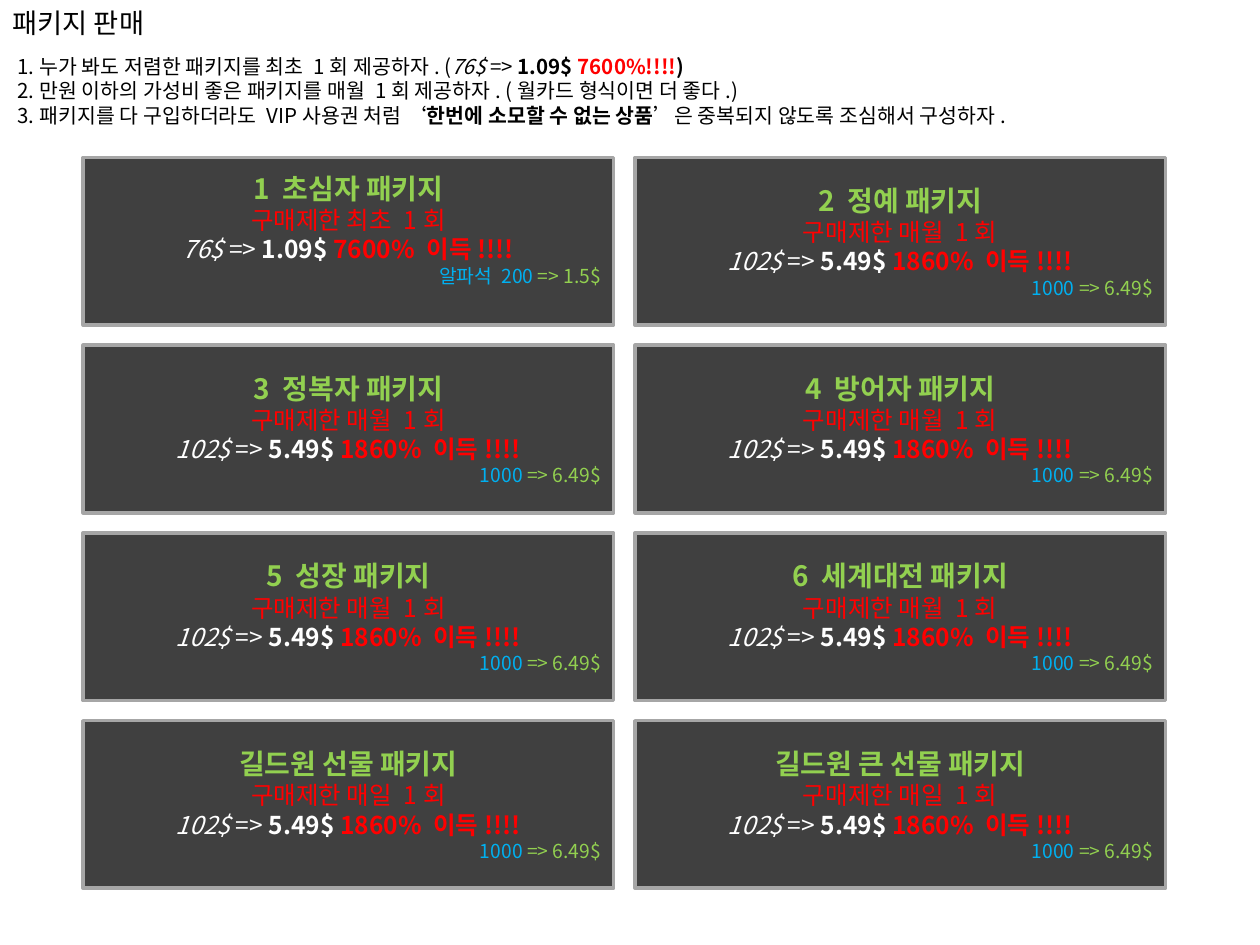
"""Build the package sales slide: a title, three rules and a grid of eight package cards."""
from lxml import etree
from pptx import Presentation
from pptx.dml.color import RGBColor
from pptx.enum import shapes, text
from pptx.oxml import ns
from pptx.util import Inches, Pt

FONT = "Noto Sans CJK KR"
BLACK = RGBColor(0x00, 0x00, 0x00)
WHITE = RGBColor(0xFF, 0xFF, 0xFF)
RED = RGBColor(0xFF, 0x00, 0x00)
GREEN = RGBColor(0x92, 0xD0, 0x50)
BLUE = RGBColor(0x00, 0xB0, 0xF0)
CARD_FILL = RGBColor(0x40, 0x40, 0x40)
CARD_BORDER = RGBColor(0xA6, 0xA6, 0xA6)


def write_line(paragraph, size, align, runs):
    paragraph.alignment = align
    paragraph.font.size = Pt(size)
    paragraph.font.name = FONT
    default_props = paragraph.font._element
    etree.SubElement(default_props, ns.qn("a:ea"), typeface=FONT)
    for words, color, style in runs:
        run = paragraph.add_run()
        run.text = words
        run.font.color.rgb = color
        run.font.bold = style == "bold"
        run.font.italic = style == "italic"


def write_lines(frame, lines):
    frame.word_wrap = True
    frame.auto_size = text.MSO_AUTO_SIZE.NONE
    frame.vertical_anchor = text.MSO_ANCHOR.MIDDLE
    for index, line in enumerate(lines):
        paragraph = frame.add_paragraph() if index else frame.paragraphs[0]
        write_line(paragraph, *line)


LEFT, CENTER, RIGHT = text.PP_ALIGN.LEFT, text.PP_ALIGN.CENTER, text.PP_ALIGN.RIGHT

prs = Presentation()
prs.slide_width, prs.slide_height = Inches(10), Inches(7.5)
slide = prs.slides.add_slide(prs.slide_layouts[5])

title = slide.shapes.title
title.left, title.top = Inches(0), Inches(0)
title.width, title.height = Inches(9.69), Inches(0.36)
write_lines(title.text_frame, [(15.6, LEFT, [("패키지 판매", BLACK, "")])])

rules = slide.shapes.add_textbox(Inches(0.04), Inches(0.31), Inches(9.69), Inches(0.82))
write_lines(rules.text_frame, [
    (11.7, LEFT, [
        ("1.누가 봐도 저렴한 패키지를 최초 1회 제공하자. (", BLACK, ""),
        ("76$", BLACK, "italic"),
        (" => ", BLACK, ""),
        ("1.09$ ", BLACK, "bold"),
        ("7600%!!!!", RED, "bold"),
        (")", BLACK, "bold"),
    ]),
    (11.7, LEFT, [
        ("2.만원 이하의 가성비 좋은 패키지를 매월 1회 제공하자. (월카드 형식이면 더 좋다.)", BLACK, ""),
    ]),
    (11.7, LEFT, [
        ("3.패키지를 다 구입하더라도 VIP사용권 처럼 ‘", BLACK, ""),
        ("한번에 소모할 수 없는 상품", BLACK, "bold"),
        ("’은 중복되지 않도록 조심해서 구성하자.", BLACK, ""),
    ]),
])

starter_offer = ("76$", "1.09$", "7600%", "알파석 200", "1.5$")
regular_offer = ("102$", "5.49$", "1860%", "1000", "6.49$")
packages = [
    ("1 초심자 패키지", "최초", starter_offer),
    ("2 정예 패키지", "매월", regular_offer),
    ("3 정복자 패키지", "매월", regular_offer),
    ("4 방어자 패키지", "매월", regular_offer),
    ("5 성장 패키지", "매월", regular_offer),
    ("6 세계대전 패키지", "매월", regular_offer),
    ("길드원 선물 패키지", "매일", regular_offer),
    ("길드원 큰 선물 패키지", "매일", regular_offer),
]

for index, (name, period, offer) in enumerate(packages):
    row, column = divmod(index, 2)
    value, price, gain, gems, gem_price = offer
    card = slide.shapes.add_shape(
        shapes.MSO_SHAPE.RECTANGULAR_CALLOUT,
        Inches(0.66 + 4.38 * column), Inches(1.25 + 1.49 * row), Inches(4.21), Inches(1.33))
    card.adjustments[0], card.adjustments[1] = -0.09, -0.5
    card.shadow.inherit = False
    card.fill.solid()
    card.fill.fore_color.rgb = CARD_FILL
    card.line.color.rgb = CARD_BORDER
    card.line.width = Pt(2)
    if offer is starter_offer:
        card.text_frame.margin_bottom = Inches(0.24)
    write_lines(card.text_frame, [
        (16, CENTER, [(name, GREEN, "bold")]),
        (14, CENTER, [(f"구매제한 {period} 1회", RED, "")]),
        (14, CENTER, [
            (value, WHITE, "italic"),
            (" => ", WHITE, ""),
            (f"{price} ", WHITE, "bold"),
            (f"{gain} 이득!!!!", RED, "bold"),
        ]),
        (11, RIGHT, [(gems, BLUE, ""), (f" => {gem_price}", GREEN, "")]),
    ])

prs.save("out.pptx")
